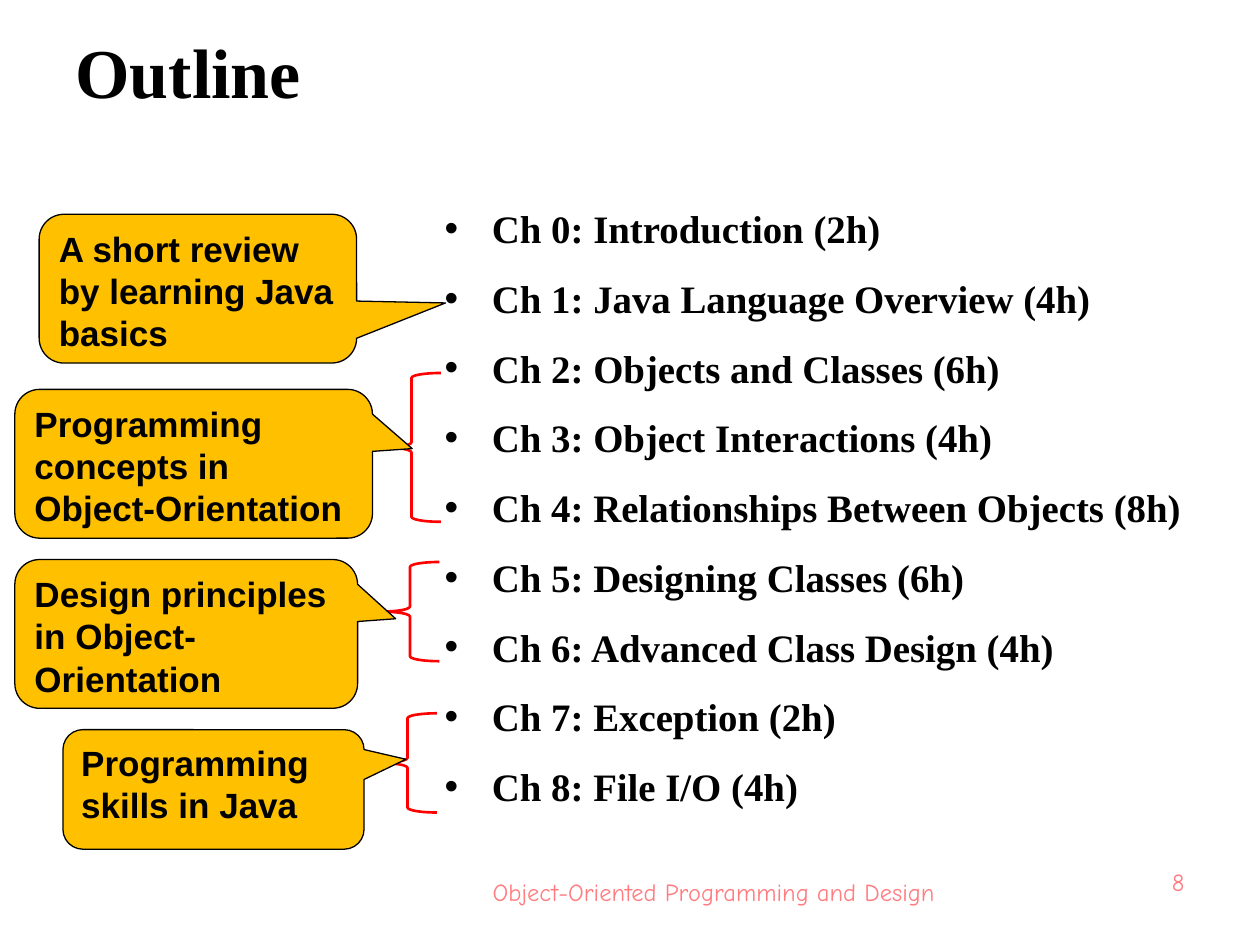
import pptx
import pptx.util
import pptx.dml.color
import pptx.enum.shapes
import pptx.enum.text

Cm = pptx.util.Cm
Pt = pptx.util.Pt
ALIGN = pptx.enum.text.PP_ALIGN
ANCHOR = pptx.enum.text.MSO_ANCHOR
SHAPES = pptx.enum.shapes.MSO_SHAPE

COLORS = {"text": "000000", "callout": "FFC000", "brace": "FF0000", "footer": "FF7C80"}
FONTS = {
    "title": {"name": "Times New Roman", "size": Pt(40), "bold": True},
    "list": {"name": "Times New Roman", "size": Pt(22.2), "bold": True},
    "callout": {"name": "Arial", "size": Pt(20), "bold": True},
    "footer": {"name": "Comic Neue", "size": Pt(14), "bold": False},
}


def place(shape, left, top, width, height):
    box = {"left": left, "top": top, "width": width, "height": height}
    for name, value in box.items():
        setattr(shape, name, Cm(value))


def write(shape, lines, font, color, alignment, anchor, space_after=0):
    frame = shape.text_frame
    frame.text = "\n".join(lines)
    frame_format = {
        "word_wrap": True,
        "auto_size": pptx.enum.text.MSO_AUTO_SIZE.NONE,
        "vertical_anchor": anchor,
    }
    for name, value in frame_format.items():
        setattr(frame, name, value)
    paragraph_format = {
        "alignment": alignment,
        "space_before": Pt(0),
        "space_after": Pt(space_after),
    }
    for paragraph in frame.paragraphs:
        for name, value in paragraph_format.items():
            setattr(paragraph, name, value)
        for name, value in FONTS[font].items():
            setattr(paragraph.font, name, value)
        paragraph.font.color.rgb = pptx.dml.color.RGBColor.from_string(COLORS[color])


presentation = pptx.Presentation()
presentation.slide_width = Cm(25.4)
presentation.slide_height = Cm(19.05)
slide = presentation.slides.add_slide(presentation.slide_layouts[1])

title = slide.shapes.title
place(title, 1.27, 0.13, 22.86, 2.57)
write(title, ["Outline"], "title", "text", ALIGN.LEFT, ANCHOR.MIDDLE)

chapters = [
    "Introduction (2h)",
    "Java Language Overview (4h)",
    "Objects and Classes (6h)",
    "Object Interactions (4h)",
    "Relationships Between Objects (8h)",
    "Designing Classes (6h)",
    "Advanced Class Design (4h)",
    "Exception (2h)",
    "File I/O (4h)",
]
chapter_list = slide.placeholders[1]
place(chapter_list, 8.71, 4, 16.41, 13.2)
chapter_lines = [f"Ch {number}: {name}" for number, name in enumerate(chapters)]
write(chapter_list, chapter_lines, "list", "text", ALIGN.LEFT, ANCHOR.TOP, 13.2)

footers = [
    ("Object-Oriented Programming and Design", (8.89, 17.32, 11, 1.32), ALIGN.CENTER, ANCHOR.MIDDLE),
    ("8", (21.89, 17.35, 2.24, 1.32), ALIGN.RIGHT, ANCHOR.TOP),
]
for text, box, alignment, anchor in footers:
    footer = slide.shapes.add_textbox(*map(Cm, box))
    write(footer, [text], "footer", "footer", alignment, anchor)

groups = [
    ("A short review by learning Java basics", (0.79, 4.32, 6.4, 3), (0.78, 0.096), None),
    ("Programming concepts in Object-Orientation", (0.3, 7.85, 7.21, 3), (0.611, -0.102), (7.7, 7.52, 1.19, 3)),
    ("Design principles in Object-Orientation", (0.3, 11.28, 6.91, 3), (0.611, -0.102), (7.67, 11.33, 1.19, 2)),
    ("Programming skills in Java", (1.27, 14.71, 6.07, 2.41), (0.639, -0.252), (7.62, 14.38, 1.19, 2)),
]
for text, callout_box, pointer, brace_box in groups:
    if brace_box:
        brace = slide.shapes.add_shape(SHAPES.LEFT_BRACE, *map(Cm, brace_box))
        brace.shadow.inherit = False
        brace.fill.background()
        brace.line.color.rgb = pptx.dml.color.RGBColor.from_string(COLORS["brace"])
        brace.line.width = Pt(1.5)
    callout = slide.shapes.add_shape(SHAPES.ROUNDED_RECTANGULAR_CALLOUT, *map(Cm, callout_box))
    callout.shadow.inherit = False
    callout.adjustments[0], callout.adjustments[1] = pointer
    callout.fill.solid()
    callout.fill.fore_color.rgb = pptx.dml.color.RGBColor.from_string(COLORS["callout"])
    callout.line.color.rgb = pptx.dml.color.RGBColor.from_string(COLORS["text"])
    callout.line.width = Pt(0.75)
    write(callout, [text], "callout", "text", ALIGN.LEFT, ANCHOR.TOP)

presentation.save("out.pptx")
